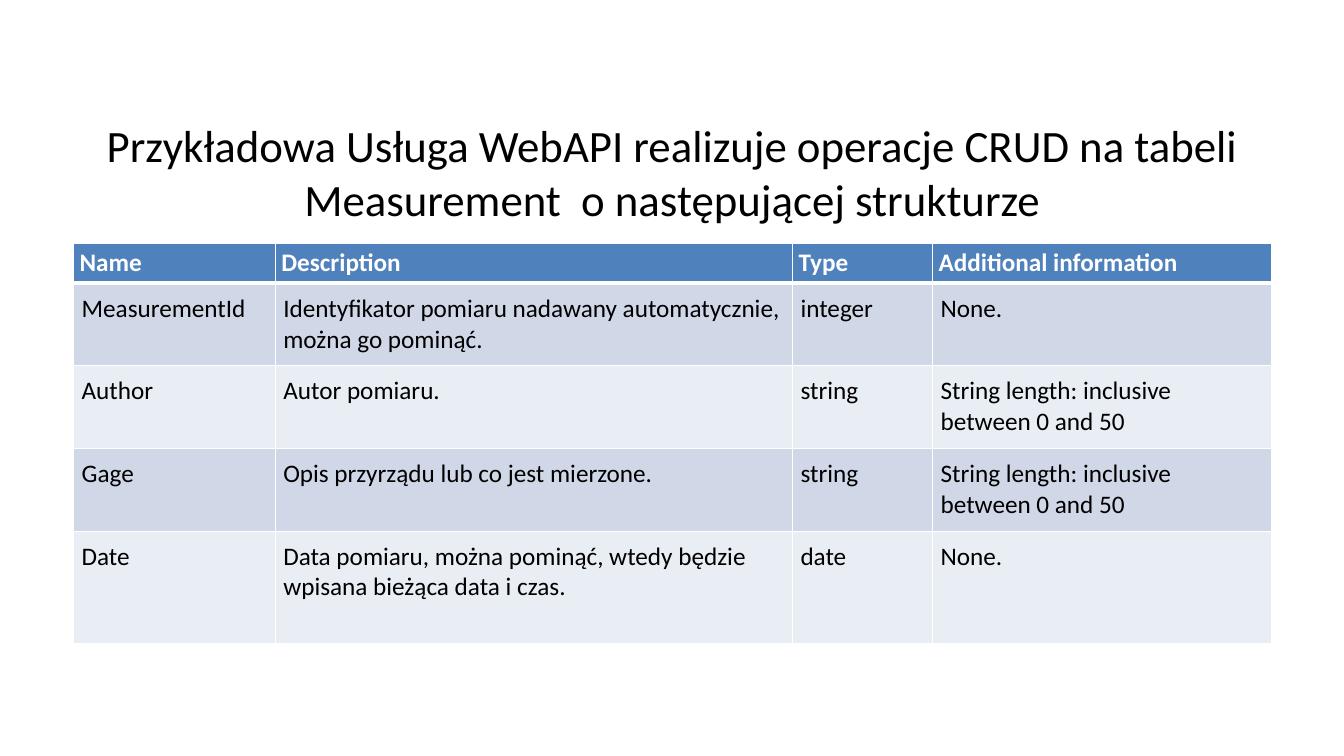
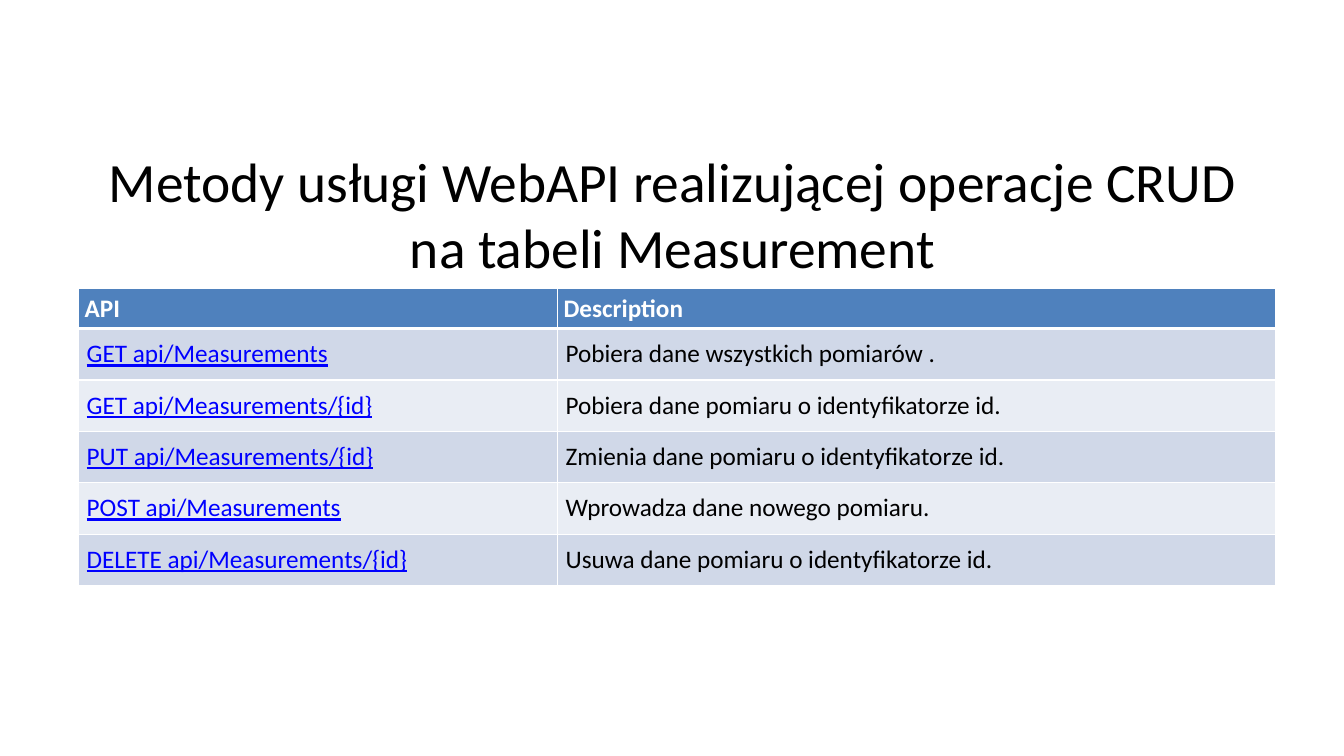
from dataclasses import dataclass

from lxml import etree
from pptx import Presentation
from pptx.dml.color import RGBColor
from pptx.enum.text import MSO_ANCHOR, PP_ALIGN
from pptx.oxml.ns import qn
from pptx.slide import Slide
from pptx.table import _Cell
from pptx.util import Inches, Pt

MIDDLE, TOP = MSO_ANCHOR.MIDDLE, MSO_ANCHOR.TOP
CENTER = PP_ALIGN.CENTER


@dataclass(frozen=True)
class Theme:
    font: str = "Calibri"
    body: float = 18
    ink: str = "000000"
    link: str = "0000FF"
    head: str = "4F81BD"
    bands: tuple[str, str] = ("D0D8E8", "E9EDF4")
    white: str = "FFFFFF"
    thin: float = 1
    thick: float = 3


@dataclass(frozen=True)
class Title:
    text: str
    top: float
    size: float


@dataclass(frozen=True)
class Grid:
    left: float
    top: float
    cols: tuple[float, ...]
    rows: tuple[float, ...]
    data: tuple[tuple[str, ...], ...]
    links: bool = False  # first column looks like links


THEME = Theme()

PAGES = (
    (
        Title("Przykładowa Usługa WebAPI realizuje operacje CRUD na "
              "tabeli Measurement  o następującej strukturze", 1.08, 32),
        Grid(0.73, 2.41, (2, 5.13, 1.39, 3.36), (0.4, 0.82, 0.82, 0.82, 1.12), (
            ("Name", "Description", "Type", "Additional information"),
            ("MeasurementId",
             "Identyfikator pomiaru nadawany automatycznie, można go pominąć.",
             "integer", "None."),
            ("Author", "Autor pomiaru.", "string",
             "String length: inclusive between 0 and 50"),
            ("Gage", "Opis przyrządu lub co jest mierzone.", "string",
             "String length: inclusive between 0 and 50"),
            ("Date",
             "Data pomiaru, można pominąć, wtedy będzie wpisana bieżąca data i czas.",
             "date", "None."),
        )),
    ),
    (
        Title("Metody usługi WebAPI realizującej operacje CRUD na tabeli Measurement",
              1.49, 39.6),
        Grid(0.78, 2.86, (4.75, 7.12), (0.4,) + (0.51,) * 5, (
            ("API", "Description"),
            ("GET api/Measurements", "Pobiera dane wszystkich pomiarów ."),
            ("GET api/Measurements/{id}", "Pobiera dane pomiaru o identyfikatorze id."),
            ("PUT api/Measurements/{id}", "Zmienia dane pomiaru o identyfikatorze id."),
            ("POST api/Measurements", "Wprowadza dane nowego pomiaru."),
            ("DELETE api/Measurements/{id}", "Usuwa dane pomiaru o identyfikatorze id."),
        ), links=True),
    ),
)


def add_run(para, text: str, size: float, color: str,
            bold: bool = False, under: bool = False) -> None:
    run = para.add_run()
    run.text = text
    font = run.font
    font.name, font.size = THEME.font, Pt(size)
    font.bold, font.underline = bold, under
    font.color.rgb = RGBColor.from_string(color)


def add_title(slide: Slide, title: Title) -> None:
    box = slide.shapes.add_textbox(
        Inches(0.67), Inches(title.top), Inches(12), Inches(1.25))
    frame = box.text_frame
    frame.word_wrap = True
    frame.vertical_anchor = MIDDLE
    para = frame.paragraphs[0]
    para.alignment = CENTER
    add_run(para, title.text, title.size, THEME.ink)


def set_edges(cell: _Cell, row: int) -> None:
    # The rule under the header is shared by rows 0 and 1
    thick = {(0, "B"), (1, "T")}
    props = cell._tc.get_or_add_tcPr()
    for side in "LRTB":
        width = THEME.thick if (row, side) in thick else THEME.thin
        line = etree.SubElement(props, qn(f"a:ln{side}"), w=str(Pt(width)))
        fill = etree.SubElement(line, qn("a:solidFill"))
        etree.SubElement(fill, qn("a:srgbClr"), val=THEME.white)


def fill_cell(cell: _Cell, text: str, row: int, link: bool) -> None:
    head = row == 0
    set_edges(cell, row)
    cell.fill.solid()
    back = THEME.head if head else THEME.bands[(row - 1) % 2]
    cell.fill.fore_color.rgb = RGBColor.from_string(back)
    cell.vertical_anchor = MIDDLE if head else TOP
    cell.margin_left = cell.margin_right = Inches(0.06 if head else 0.08)
    cell.margin_top = cell.margin_bottom = Inches(0.05 if head else 0.1)
    color = THEME.white if head else THEME.link if link else THEME.ink
    add_run(cell.text_frame.paragraphs[0], text, THEME.body, color, head, link)


def add_grid(slide: Slide, grid: Grid) -> None:
    table = slide.shapes.add_table(
        len(grid.rows), len(grid.cols), Inches(grid.left), Inches(grid.top),
        Inches(sum(grid.cols)), Inches(sum(grid.rows))).table
    table.horz_banding = False
    for col, width in zip(table.columns, grid.cols):
        col.width = Inches(width)
    for row, height in zip(table.rows, grid.rows):
        row.height = Inches(height)
    for r, texts in enumerate(grid.data):
        for c, text in enumerate(texts):
            link = grid.links and r > 0 and c == 0
            fill_cell(table.cell(r, c), text, r, link)


def main() -> None:
    deck = Presentation()
    deck.slide_width, deck.slide_height = Inches(13.33), Inches(7.5)
    blank = deck.slide_layouts[6]
    for title, grid in PAGES:
        slide = deck.slides.add_slide(blank)
        add_title(slide, title)
        add_grid(slide, grid)
    deck.save("out.pptx")


if __name__ == "__main__":
    main()
